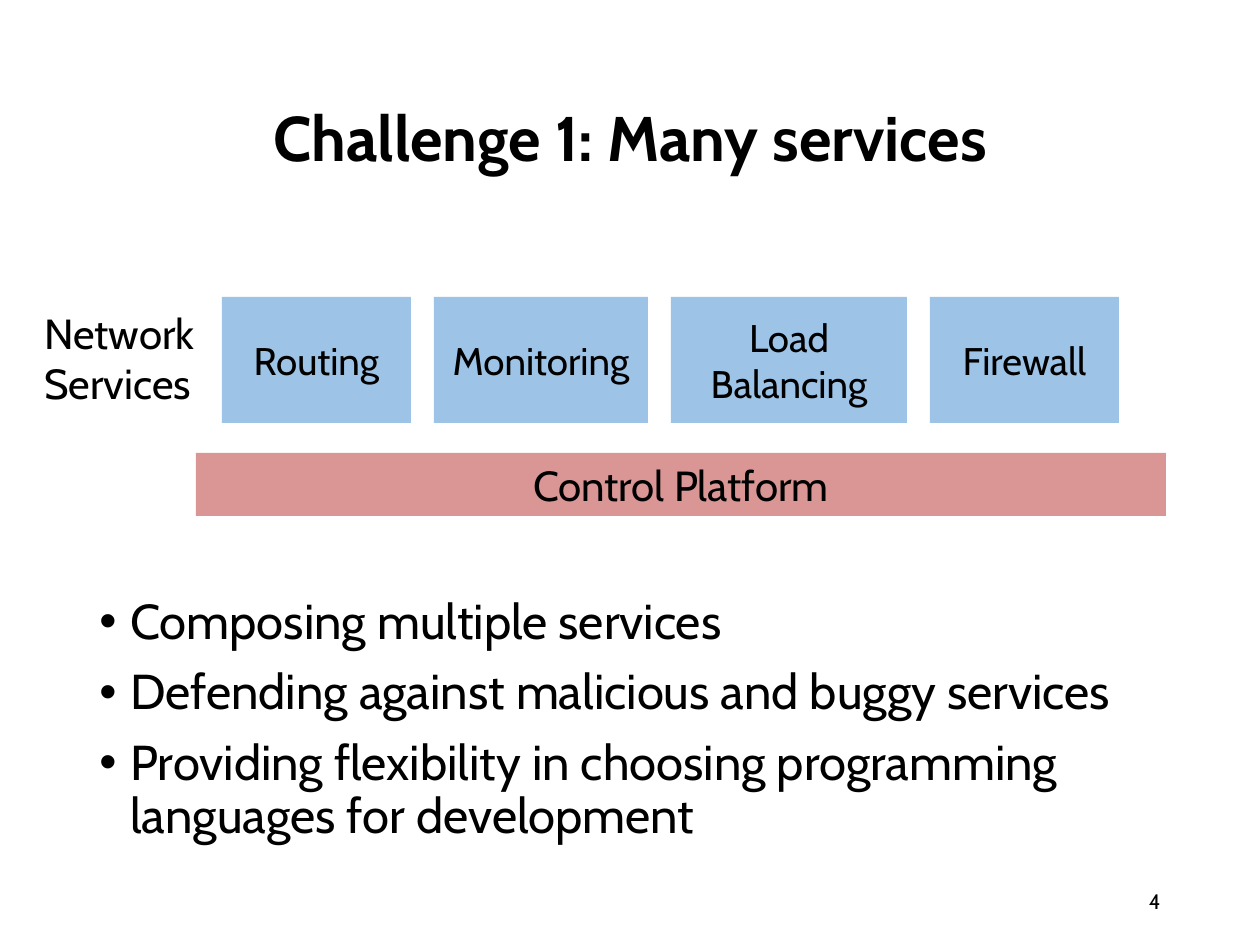
from dataclasses import dataclass

from lxml.etree import SubElement
from pptx import Presentation
from pptx.dml.color import RGBColor
from pptx.enum.shapes import MSO_SHAPE
from pptx.enum.text import MSO_ANCHOR, PP_ALIGN
from pptx.oxml.ns import qn
from pptx.util import Emu, Pt

TITLE = "Challenge 1: Many services"
LABEL = ["Network", "Services"]
SERVICES = [
    (["Routing"], 189),
    (["Monitoring"], 214),
    (["Load", "Balancing"], 236),
    (["Firewall"], 189),
]
PLATFORM = "Control Platform"
BULLETS = [
    "Composing multiple services",
    "Defending against malicious and buggy services",
    "Providing flexibility in choosing programming languages for development",
]
PAGE = "4"


@dataclass(frozen=True)
class Theme:
    font: str = "Cabin"
    text: str = "000000"
    service: str = "9DC3E6"
    platform: str = "D99694"
    title_size: int = 36
    body_size: int = 28
    label_size: int = 24
    service_size: int = 22
    page_size: int = 12


THEME = Theme()
PX = 914400 // 126
MARGIN, CONTENT_W = 87, 1086
ROW_LEFT, ROW_TOP, ROW_H, GAP = 222, 297, 126, 23
BULLET_INDENT = 31


def px(n):
    return Emu(round(n * PX))


def write(s, lines, size, align=PP_ALIGN.LEFT, anchor=MSO_ANCHOR.MIDDLE,
          bold=False, wrap=True, spacing=None):
    tf = s.text_frame
    tf.word_wrap = wrap
    tf.vertical_anchor = anchor
    for i, line in enumerate(lines):
        p = tf.paragraphs[0] if i == 0 else tf.add_paragraph()
        p.alignment = align
        if spacing:
            p.line_spacing = spacing
        r = p.add_run()
        r.text = line
        r.font.name = THEME.font
        r.font.size = Pt(size)
        r.font.bold = bold
        r.font.color.rgb = RGBColor.from_string(THEME.text)
    return tf


def add_text(slide, box, lines, size, **style):
    s = slide.shapes.add_textbox(*map(px, box))
    return write(s, lines, size, **style)


def add_block(slide, box, lines, size, fill):
    s = slide.shapes.add_shape(MSO_SHAPE.RECTANGLE, *map(px, box))
    s.shadow.inherit = False
    s.fill.solid()
    s.fill.fore_color.rgb = RGBColor.from_string(fill)
    s.line.fill.background()
    write(s, lines, size, align=PP_ALIGN.CENTER)


def add_bullets(tf):
    for i, p in enumerate(tf.paragraphs):
        if i:
            p.space_before = Pt(10)
        pPr = p._p.get_or_add_pPr()
        pPr.set("marL", str(px(BULLET_INDENT)))
        pPr.set("indent", str(-px(BULLET_INDENT)))
        SubElement(pPr, qn("a:buFont")).set("typeface", "Arial")
        SubElement(pPr, qn("a:buChar")).set("char", "•")


def main():
    prs = Presentation()
    prs.slide_width, prs.slide_height = px(1260), px(945)
    slide = prs.slides.add_slide(prs.slide_layouts[6])

    add_text(slide, (MARGIN, 50, CONTENT_W, 183), [TITLE], THEME.title_size,
             align=PP_ALIGN.CENTER, bold=True, spacing=0.9)
    add_text(slide, (32, 301, 179, 115), LABEL, THEME.label_size,
             anchor=MSO_ANCHOR.TOP, wrap=False)

    left = ROW_LEFT
    for lines, width in SERVICES:
        add_block(slide, (left, ROW_TOP, width, ROW_H), lines,
                  THEME.service_size, THEME.service)
        left += width + GAP
    add_block(slide, (196, 453, 970, 63), [PLATFORM],
              THEME.label_size, THEME.platform)

    tf = add_text(slide, (MARGIN, 591, CONTENT_W, 291), BULLETS,
                  THEME.body_size, anchor=MSO_ANCHOR.TOP, spacing=0.9)
    add_bullets(tf)
    add_text(slide, (890, 876, 283, 50), [PAGE], THEME.page_size,
             align=PP_ALIGN.RIGHT)

    prs.save("out.pptx")


if __name__ == "__main__":
    main()
